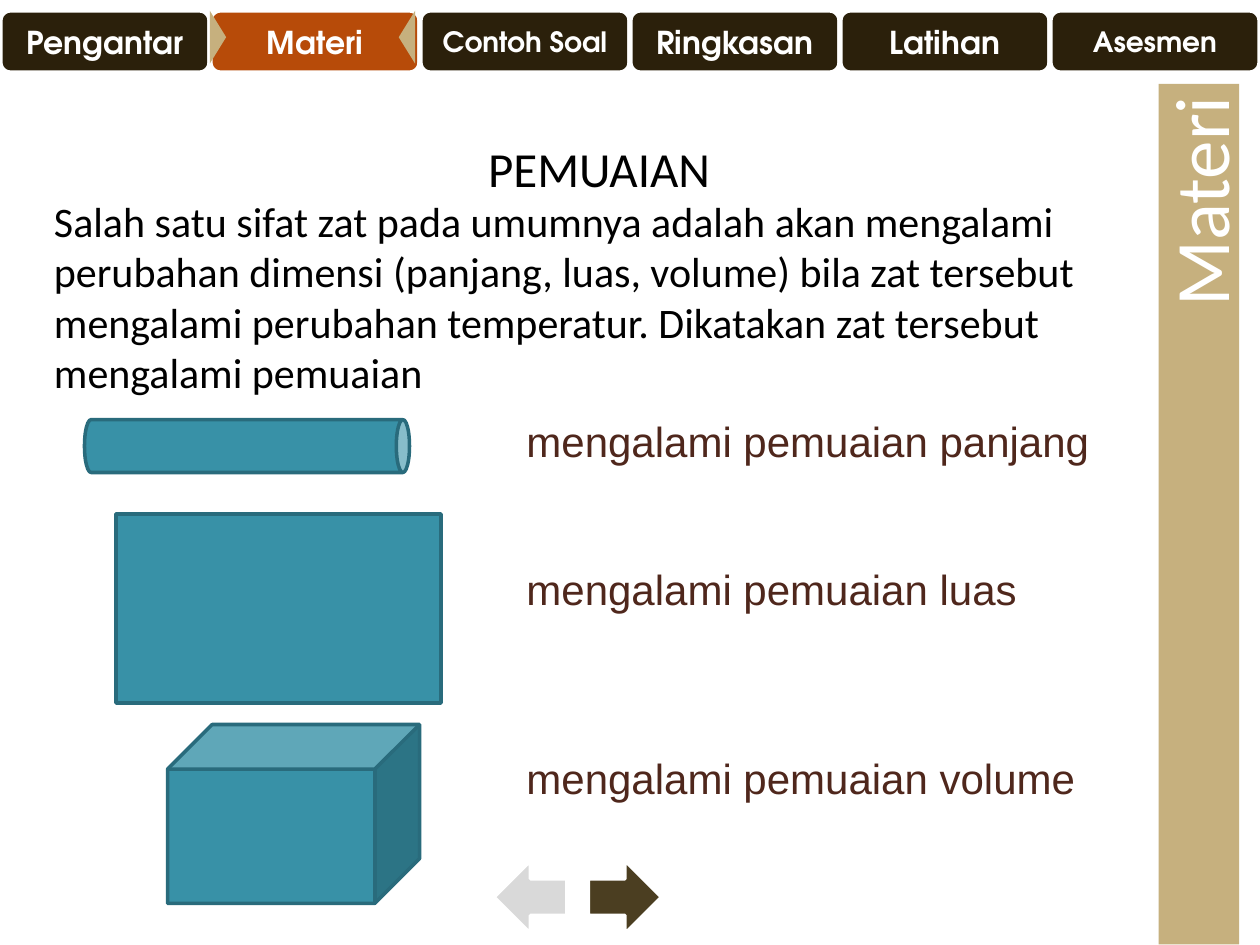
from pptx import Presentation
from pptx.dml.color import RGBColor
from pptx.enum.shapes import MSO_SHAPE as Kind
from pptx.enum.text import MSO_ANCHOR as Anchor, MSO_AUTO_SIZE as Fit, PP_ALIGN as Align
from pptx.util import Inches, Pt

WHITE = RGBColor(0xFF, 0xFF, 0xFF)
BLACK = RGBColor(0x00, 0x00, 0x00)
DARK = RGBColor(0x2B, 0x20, 0x0B)
ORANGE = RGBColor(0xB7, 0x4B, 0x09)
SAND = RGBColor(0xC6, 0xB0, 0x7E)
OLIVE = RGBColor(0x4B, 0x3E, 0x21)
GREY = RGBColor(0xD9, 0xD9, 0xD9)
TEAL = RGBColor(0x38, 0x91, 0xA7)
EDGE = RGBColor(0x29, 0x6B, 0x7C)
BROWN = RGBColor(0x4F, 0x27, 0x1C)

TABS = [("Pengantar", 18), ("Materi", 18), ("Contoh Soal", 16),
        ("Ringkasan", 18), ("Latihan", 18), ("Asesmen", 16)]
ACTIVE = "Materi"
LABELS = [("panjang", 3.25), ("luas", 4.42), ("volume", 5.92)]
SOLIDS = [(Kind.CAN, (1.75, 2.25, 0.42, 2.58), 90),
          (Kind.RECTANGLE, (0.92, 4.08, 2.58, 1.5), 0),
          (Kind.CUBE, (1.33, 5.75, 2, 1.42), 0)]
FOLDS = [(1.52, 90), (3.02, 270)]
ARROWS = [(3.92, 180, GREY), (4.67, 0, OLIVE)]
INTRO = ("Salah satu sifat zat pada umumnya adalah akan mengalami perubahan "
         "dimensi (panjang, luas, volume) bila zat tersebut mengalami perubahan "
         "temperatur. Dikatakan zat tersebut mengalami pemuaian")


def write(shape, text, color, align=Align.LEFT, anchor=Anchor.TOP, **font):
    frame = shape.text_frame
    frame.text = text
    frame.word_wrap = True
    frame.auto_size = Fit.NONE
    frame.vertical_anchor = anchor
    para = frame.paragraphs[0]
    para.alignment = align
    run = para.runs[0]
    for key, value in font.items():
        setattr(run.font, key, value)
    run.font.color.rgb = color


def paint(shape, fill):
    shape.fill.solid()
    shape.fill.fore_color.rgb = fill


def add_shape(slide, kind, box, fill, line=None, width=2, turn=0):
    shape = slide.shapes.add_shape(kind, *map(Inches, box))
    shape.shadow.inherit = False
    shape.rotation = turn
    paint(shape, fill)
    if line is None:
        shape.line.fill.background()
    else:
        shape.line.color.rgb = line
        shape.line.width = Pt(width)
    return shape


def add_text(slide, box, text, color, **style):
    write(slide.shapes.add_textbox(*map(Inches, box)), text, color, **style)


def add_tabs(slide):
    step = 10 / len(TABS)
    for i, (name, size) in enumerate(TABS):
        fill = ORANGE if name == ACTIVE else DARK
        tab = add_shape(slide, Kind.ROUNDED_RECTANGLE, (i * step, 0.08, step, 0.5),
                        fill, WHITE, 3)
        write(tab, name, WHITE, Align.CENTER, Anchor.MIDDLE,
              name="TeX Gyre Adventor", size=Pt(size), bold=True)
    for left, turn in FOLDS:
        add_shape(slide, Kind.ISOSCELES_TRIANGLE, (left, 0.23, 0.42, 0.13),
                  SAND, turn=turn)


def set_title(slide):
    title = slide.shapes.title
    place = dict(left=6.1, top=3.76, width=6.83, height=0.64)
    for key, value in place.items():
        setattr(title, key, Inches(value))
    title.rotation = 270
    paint(title, SAND)
    write(title, "Materi", WHITE, Align.RIGHT, Anchor.MIDDLE,
          name="Calibri", size=Pt(44))


def main():
    deck = Presentation()
    deck.slide_width, deck.slide_height = Inches(10), Inches(7.5)
    slide = deck.slides.add_slide(deck.slide_layouts[5])
    set_title(slide)
    add_tabs(slide)
    for left, turn, fill in ARROWS:
        add_shape(slide, Kind.RIGHT_ARROW, (left, 6.83, 0.58, 0.58),
                  fill, WHITE, turn=turn)
    add_text(slide, (1.17, 1.08, 7.17, 0.5), "PEMUAIAN", BLACK, align=Align.CENTER,
             anchor=Anchor.MIDDLE, name="Calibri", size=Pt(28))
    add_text(slide, (0.33, 1.5, 8.58, 1.75), INTRO, BLACK,
             name="Calibri", size=Pt(24))
    for kind, box, turn in SOLIDS:
        add_shape(slide, kind, box, TEAL, EDGE, turn=turn)
    for word, top in LABELS:
        add_text(slide, (4.08, top, 5, 0.58), f"mengalami pemuaian {word}", BROWN,
                 name="Arial", size=Pt(24))
    deck.save("out.pptx")


if __name__ == "__main__":
    main()
